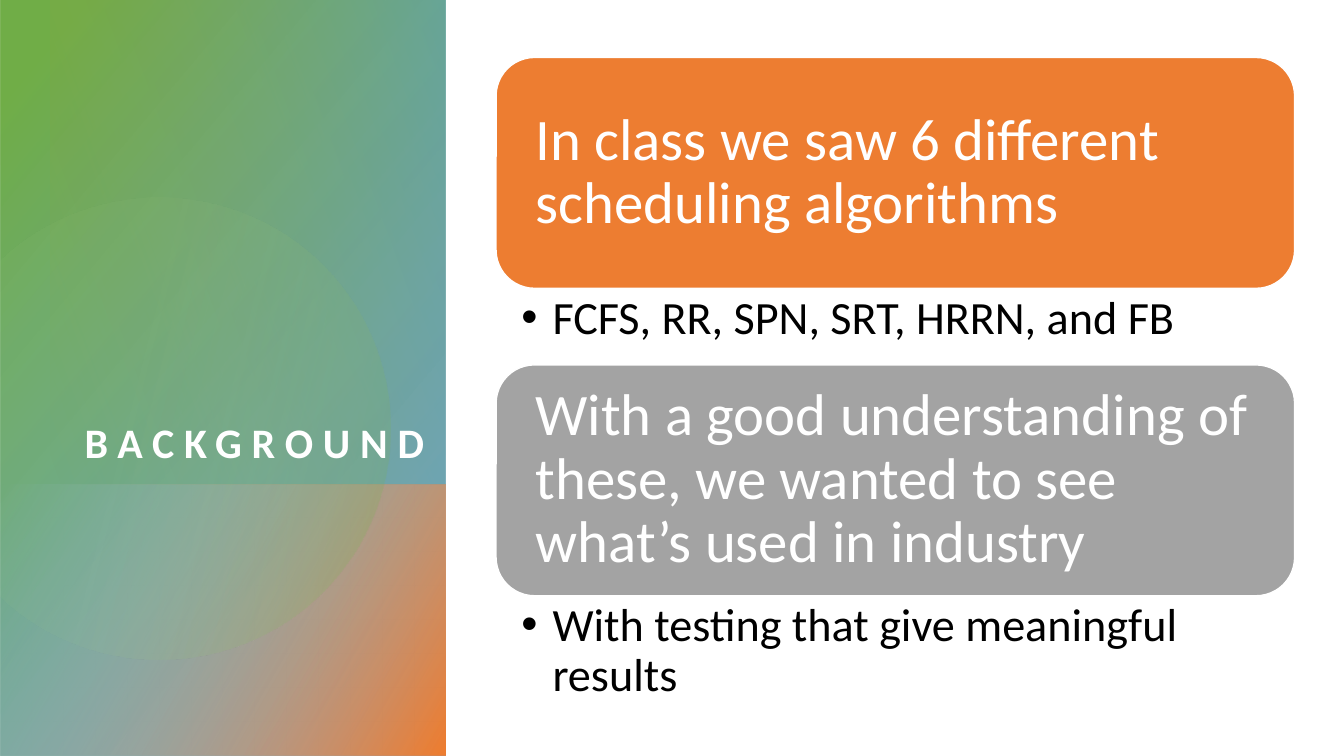
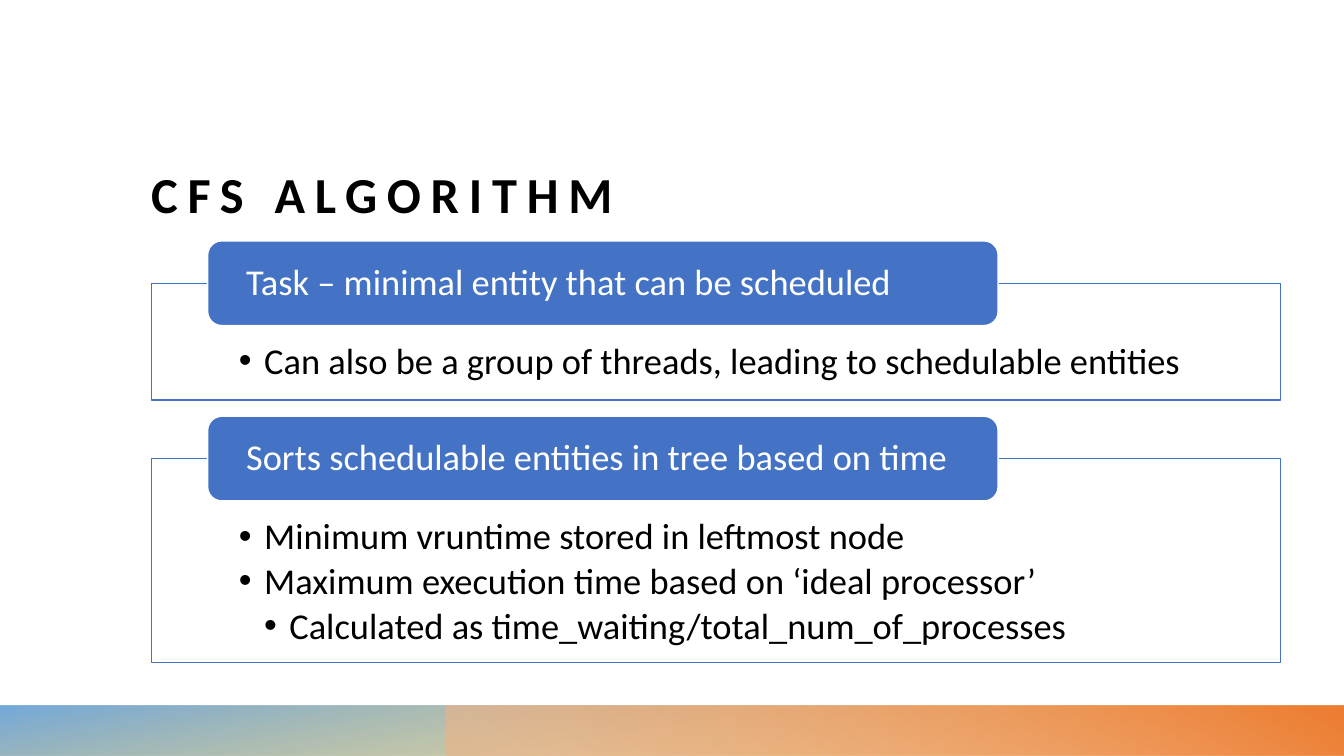
from math import acos, cos, sin

from lxml.etree import SubElement
from pptx import Presentation
from pptx.dml.color import RGBColor
from pptx.enum.shapes import MSO_SHAPE
from pptx.enum.text import MSO_ANCHOR, MSO_AUTO_SIZE, PP_ALIGN
from pptx.oxml import parse_xml
from pptx.oxml.ns import nsdecls, qn
from pptx.util import Inches, Pt

FONT = "Calibri"
WHITE, BLACK = "FFFFFF", "000000"
BLUE, ORANGE, GRAY, GREEN = "4472C4", "ED7D31", "A3A3A3", "70AD47"
SKY, GOLD, PALE_SKY = "5B9BD5", "CF9B00", "9DC3E6"
PALE_ORANGE, PALE_GREEN = "F4B183", "A9D18E"
TWO_CONTENT = 3


def rgb(hex_colour):
    return RGBColor.from_string(hex_colour)


def place(shape, box):
    shape.left, shape.top, shape.width, shape.height = map(Inches, box)


def fill_gradient(shape, stops, angle):
    """Fill with (position %, colour, opacity %) stops, without outline or shadow."""
    marks = "".join(
        f'<a:gs pos="{position * 1000}"><a:srgbClr val="{colour}">'
        f'<a:alpha val="{opacity * 1000}"/></a:srgbClr></a:gs>'
        for position, colour, opacity in stops)
    gradient = parse_xml(
        f'<a:gradFill {nsdecls("a")} rotWithShape="1"><a:gsLst>{marks}</a:gsLst>'
        f'<a:lin ang="{angle * 60000}" scaled="0"/></a:gradFill>')
    shape.element.spPr[1].addnext(gradient)
    shape.line.fill.background()
    shape.shadow.inherit = False


def add_wash(page, box, stops, angle, rotation=0):
    """Add a mirrored gradient rectangle that covers box once it is rotated."""
    left, top, width, height = box
    if rotation % 180:
        shift = (width - height) / 2
        box = left + shift, top - shift, height, width
    wash = page.shapes.add_shape(MSO_SHAPE.RECTANGLE, *map(Inches, box))
    wash.rotation = rotation
    wash.element.spPr[0].set("flipH", "1")
    fill_gradient(wash, stops, angle)


def add_disc(page, centre_x, centre_y, radius):
    """Add a disc cut off by the left edge of the slide."""
    limit, steps = acos(-centre_x / radius), 90
    angles = [limit * (2 * step / steps - 1) for step in range(steps + 1)]
    points = [(Inches(centre_x + radius * cos(angle)),
               Inches(centre_y + radius * sin(angle))) for angle in angles]
    builder = page.shapes.build_freeform(*points[0])
    builder.add_line_segments(points[1:], close=True)
    disc = builder.convert_to_shape()
    fill_gradient(disc, [(36, PALE_GREEN, 6), (100, GREEN, 26)], 14)


def set_insets(frame, left, top, right, bottom):
    frame.margin_left, frame.margin_top = Inches(left), Inches(top)
    frame.margin_right, frame.margin_bottom = Inches(right), Inches(bottom)
    frame.word_wrap = True
    frame.auto_size = MSO_AUTO_SIZE.NONE


def style(para, size, colour, bold=False):
    font = para.font
    font.name, font.size, font.bold = FONT, Pt(size), bold
    font.color.rgb = rgb(colour)


def set_title(page, text, box, size, colour, align):
    title = page.shapes.title
    place(title, box)
    page.shapes[-1].element.addnext(title.element)
    frame = title.text_frame
    set_insets(frame, 0, 0, 0, 0)
    frame.vertical_anchor = MSO_ANCHOR.BOTTOM
    para = frame.paragraphs[0]
    para.alignment = align
    span = para.add_run()
    span.text = text
    span.font._element.set("spc", "700")
    style(para, size, colour, bold=True)


def add_heading(page, box, text, colour, size, inset):
    heading = page.shapes.add_shape(MSO_SHAPE.ROUNDED_RECTANGLE, *map(Inches, box))
    heading.shadow.inherit = False
    heading.fill.solid()
    heading.fill.fore_color.rgb = rgb(colour)
    heading.line.color.rgb = rgb(WHITE)
    heading.line.width = Pt(1)
    frame = heading.text_frame
    set_insets(frame, inset, 0, inset, 0)
    frame.vertical_anchor = MSO_ANCHOR.MIDDLE
    para = frame.paragraphs[0]
    para.text = text
    para.alignment = PP_ALIGN.LEFT
    para.line_spacing = 0.9
    style(para, size, WHITE)


def fill_list(body, box, items, size, insets, indent, gap):
    """Fill a body placeholder with (level, text) items; gap is a share of size."""
    place(body, box)
    frame = body.text_frame
    set_insets(frame, *insets)
    for number, (level, text) in enumerate(items):
        para = frame.add_paragraph() if number else frame.paragraphs[0]
        para.text = text
        para.level = level
        para.line_spacing = 0.9
        para.space_before = Pt(0)
        para.space_after = Pt(size * gap)
        properties = para._p.get_or_add_pPr()
        properties.set("marL", str(Inches(indent * (level + 1))))
        properties.set("indent", str(-Inches(indent)))
        SubElement(properties, qn("a:buChar"), char="•")
        style(para, size, BLACK)


def add_side_panel(page, width, height):
    add_wash(page, (0, 0, width, height), [(8, GREEN, 100), (100, SKY, 89)], 50, 270)
    add_wash(page, (0, 4.81, width, height - 4.81),
             [(0, PALE_SKY, 0), (99, ORANGE, 100)], 60, 270)
    add_disc(page, 1.58, 4.25, 2.29)
    add_wash(page, (0.5, 0, width - 0.5, 4.81), [(0, SKY, 29), (100, GOLD, 0)], 110, 90)


def add_bottom_band(page, left, top, width, height):
    add_wash(page, (left, top, width, height), [(14, GOLD, 28), (100, SKY, 85)], 100, 180)
    add_wash(page, (left + 4.42, top, width - 4.42, height),
             [(9, PALE_ORANGE, 55), (99, ORANGE, 100)], 240)


def build_background(deck):
    page = deck.slides.add_slide(deck.slide_layouts[TWO_CONTENT])
    add_side_panel(page, 4.42, 7.5)
    set_title(page, "BACKGROUND", (0.5, 0.95, 3.71, 3.68), 30, WHITE, PP_ALIGN.RIGHT)
    left, width, heading_height = 4.92, 7.92, 2.29
    sections = [
        (0.57, 0.76, ORANGE, "In class we saw 6 different scheduling algorithms",
         "FCFS, RR, SPN, SRT, HRRN, and FB"),
        (3.62, 1.02, GRAY,
         "With a good understanding of these, we wanted to see what’s used in industry",
         "With testing that give meaningful results"),
    ]
    for number, (top, list_height, colour, heading, item) in enumerate(sections, 1):
        add_heading(page, (left, top, width, heading_height), heading, colour, 42, 0.28)
        fill_list(page.placeholders[number],
                  (left, top + heading_height, width, list_height), [(0, item)],
                  33, (0.25, 0.06, 0.33, 0.06), 0.31, 0.2)


def build_algorithm(deck):
    page = deck.slides.add_slide(deck.slide_layouts[TWO_CONTENT])
    add_bottom_band(page, 0, 7, 13.33, 0.5)
    left, width = 1.5, 11.2
    set_title(page, "CFS ALGORITHM", (left, 0.87, width, 1.35), 36, BLACK, PP_ALIGN.LEFT)
    sections = [
        (2.81, 1.16, "Task – minimal entity that can be scheduled",
         [(0, "Can also be a group of threads, leading to schedulable entities")]),
        (4.55, 2.02, "Sorts schedulable entities in tree based on time",
         [(0, "Minimum vruntime stored in leftmost node"),
          (0, "Maximum execution time based on ‘ideal processor’"),
          (1, "Calculated as time_waiting/total_num_of_processes")]),
    ]
    for number, (top, height, heading, items) in enumerate(sections, 1):
        panel = page.placeholders[number]
        fill_list(panel, (left, top, width, height), items,
                  26, (0.87, 0.59, 0.87, 0.2), 0.25, 0.15)
        panel.fill.solid()
        panel.fill.fore_color.rgb = rgb(WHITE)
        panel.line.color.rgb = rgb(BLUE)
        panel.line.width = Pt(1)
        add_heading(page, (left + 0.56, top - 0.42, width * 0.7, 0.84),
                    heading, BLUE, 26, 0.34)


def main():
    deck = Presentation()
    deck.slide_width, deck.slide_height = Inches(13.33), Inches(7.5)
    build_background(deck)
    build_algorithm(deck)
    deck.save("out.pptx")


if __name__ == "__main__":
    main()
